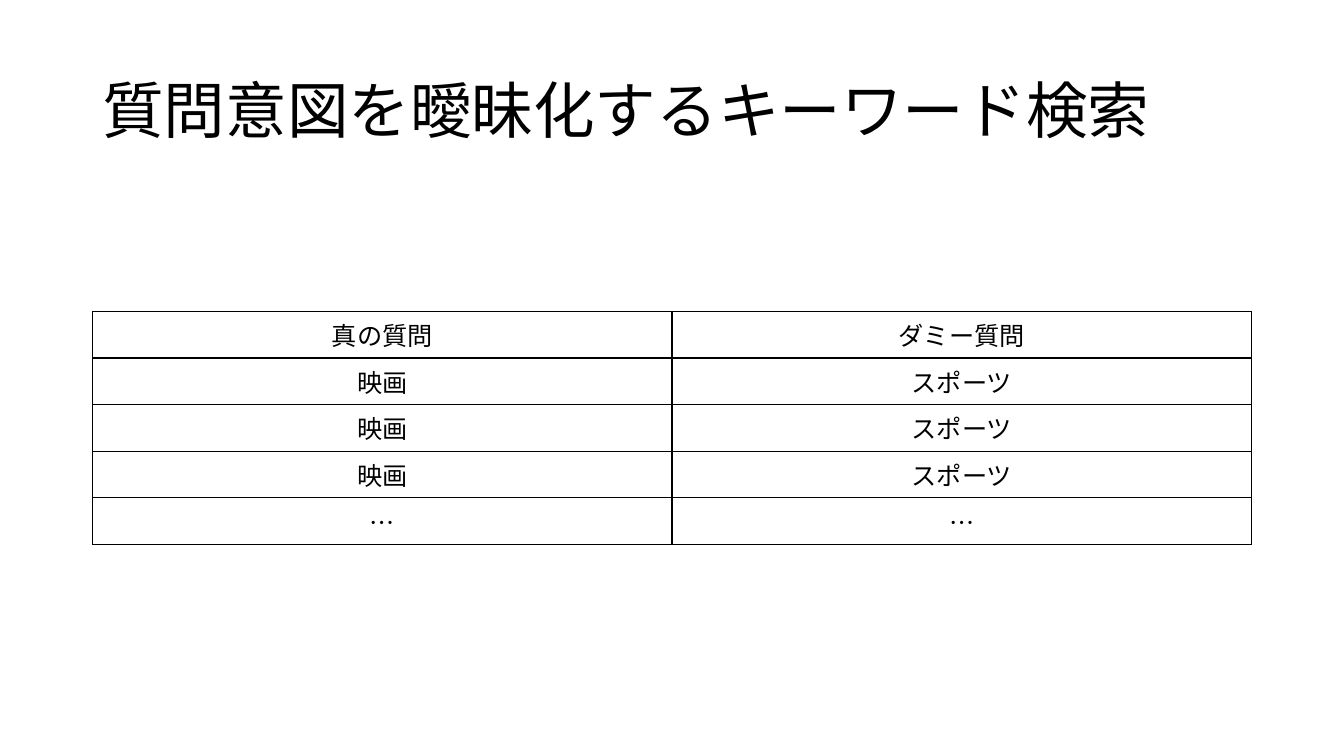
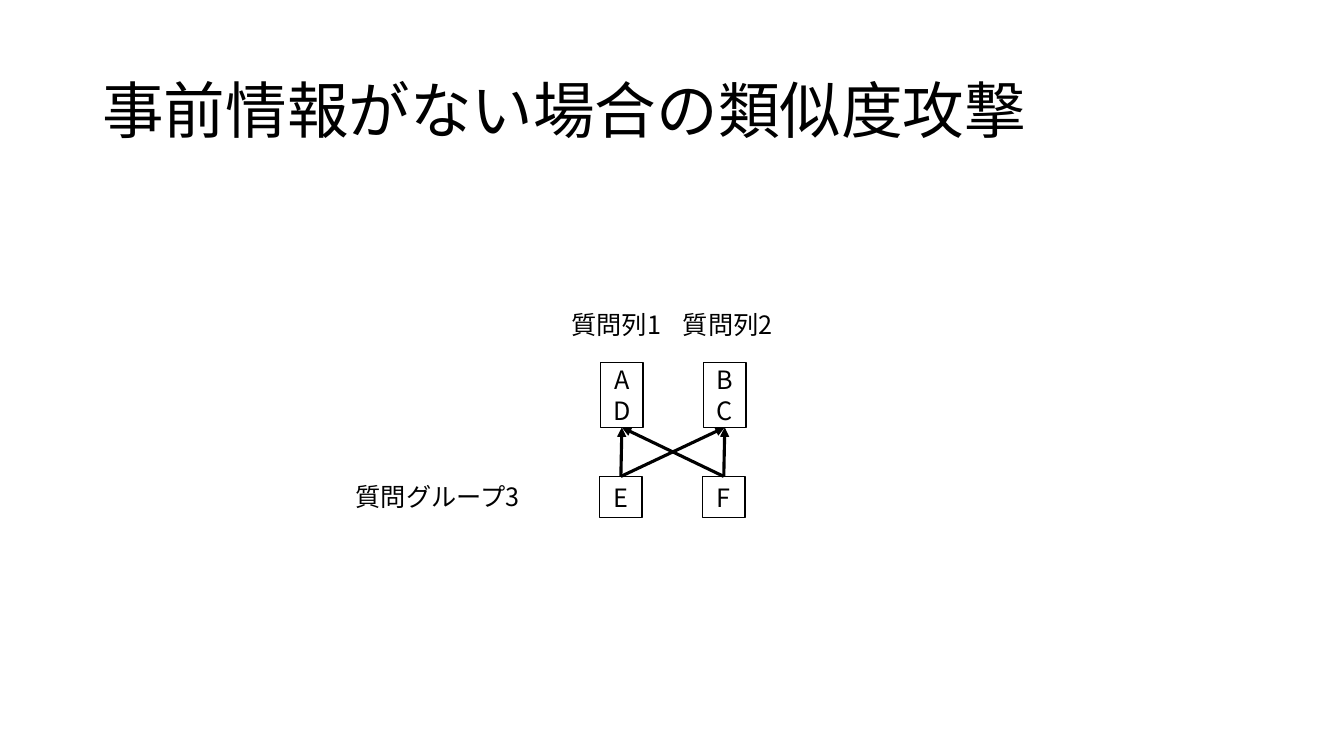
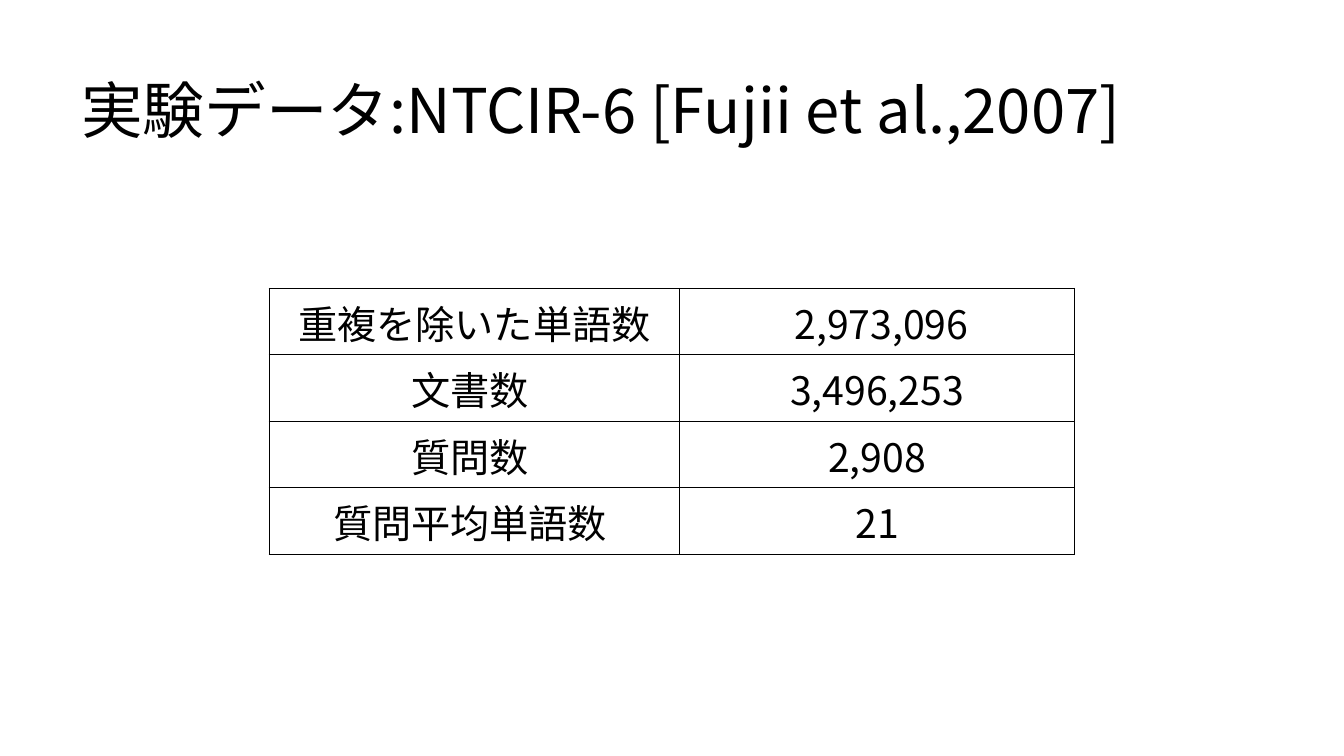
import itertools

import pptx
import pptx.dml.color
import pptx.enum.shapes
import pptx.enum.text
import pptx.oxml.ns
import pptx.util
from lxml import etree

Pt = pptx.util.Pt
ALIGN = pptx.enum.text.PP_ALIGN
ANCHOR = pptx.enum.text.MSO_ANCHOR


def color(value):
    return pptx.dml.color.RGBColor.from_string(value)


def add_xml(parent, tag, **attributes):
    return etree.SubElement(parent, pptx.oxml.ns.qn(tag), attributes)


class SlideBuilder:
    font = "Noto Sans CJK JP"
    ink = "000000"
    paper = "FFFFFF"
    title_size = 44
    body_size = 18

    def __init__(self, deck):
        self.deck = deck
        self.slide = None

    def start(self, title, left=66, width=828):
        self.slide = self.deck.slides.add_slide(self.deck.slide_layouts[6])
        box = self.text(title, left, 28.8, width, 104.4, self.title_size)
        box.text_frame.vertical_anchor = ANCHOR.MIDDLE
        box.text_frame.paragraphs[0].line_spacing = 0.9

    def fill_text(self, frame, text, size, align):
        frame.text = text
        for para in frame.paragraphs:
            para.alignment = align
            for span in para.runs:
                span.font.size = Pt(size)
                span.font.name = self.font
                span.font.color.rgb = color(self.ink)
                add_xml(span.font._element, "a:ea", typeface=self.font)

    def text(self, text, left, top, width, height, size=body_size):
        box = self.slide.shapes.add_textbox(Pt(left), Pt(top), Pt(width), Pt(height))
        box.text_frame.word_wrap = True
        self.fill_text(box.text_frame, text, size, ALIGN.LEFT)
        return box

    def box(self, text, left, top, width, height):
        box = self.slide.shapes.add_shape(
            pptx.enum.shapes.MSO_SHAPE.RECTANGLE, Pt(left), Pt(top), Pt(width), Pt(height))
        box.shadow.inherit = False
        box.fill.solid()
        box.fill.fore_color.rgb = color(self.paper)
        box.line.color.rgb = color(self.ink)
        box.line.width = Pt(1)
        box.text_frame.vertical_anchor = ANCHOR.MIDDLE
        self.fill_text(box.text_frame, text, self.body_size, ALIGN.CENTER)
        return box

    def arrow_up(self, lower, upper):
        arrow = self.slide.shapes.add_connector(
            pptx.enum.shapes.MSO_CONNECTOR.STRAIGHT, 0, 0, 0, 0)
        arrow.begin_connect(lower, 0)
        arrow.end_connect(upper, 2)
        arrow.line.color.rgb = color(self.ink)
        arrow.line.width = Pt(2.25)
        add_xml(arrow.line._get_or_add_ln(), "a:tailEnd", type="triangle")
        add_xml(arrow._element.spPr, "a:effectLst")

    def border(self, cell):
        properties = cell._tc.get_or_add_tcPr()
        for side in ("a:lnL", "a:lnR", "a:lnT", "a:lnB"):
            line = add_xml(properties, side, w=str(Pt(1)))
            add_xml(add_xml(line, "a:solidFill"), "a:srgbClr", val=self.ink)

    def table(self, rows, left, top, widths, row_height, size=body_size,
              anchor=ANCHOR.TOP, margin=None):
        table = self.slide.shapes.add_table(
            len(rows), len(widths), Pt(left), Pt(top),
            Pt(sum(widths)), Pt(row_height * len(rows))).table
        table.first_row = False
        table.horz_banding = False
        for column, width in zip(table.columns, widths):
            column.width = Pt(width)
        for row, texts in zip(table.rows, rows):
            row.height = Pt(row_height)
            for cell, text in zip(row.cells, texts):
                self.fill_text(cell.text_frame, text, size, ALIGN.CENTER)
                cell.vertical_anchor = anchor
                if margin is not None:
                    cell.margin_left = cell.margin_right = cell.margin_top = Pt(margin)
                    cell.margin_bottom = 0
                self.border(cell)
                cell.fill.solid()
                cell.fill.fore_color.rgb = color(self.paper)


def keyword_search(builder):
    builder.start("質問意図を曖昧化するキーワード検索")
    rows = [("真の質問", "ダミー質問")] + [("映画", "スポーツ")] * 3 + [("…", "…")]
    builder.table(rows, 66, 222.5, (414, 414), 33.3)


def similarity_attack(builder):
    builder.start("事前情報がない場合の類似度攻撃")
    pitch = 73.5
    lower = [builder.box(name, 428.4 + pitch * index, 340.3, 30.2, 29.5)
             for index, name in enumerate("EF")]
    builder.text("質問グループ3", 247, 340.3, 138.2, 29)
    upper = [builder.box(names, 429.1 + pitch * index, 259, 30.2, 46.3)
             for index, names in enumerate(("A\nD", "B\nC"))]
    for index in range(2):
        builder.text(f"質問列{index + 1}", 401.2 + 79.5 * index, 217.4, 79.2, 29)
    for start, end in itertools.product(lower, upper):
        builder.arrow_up(start, end)


def experiment_data(builder):
    builder.start("実験データ:NTCIR-6 [Fujii et al.,2007]", 51, 880.6)
    rows = [
        ("重複を除いた単語数", " 2,973,096"),
        ("文書数 ", "3,496,253"),
        ("質問数 ", "2,908"),
        ("質問平均単語数 ", "21"),
    ]
    builder.table(rows, 192.4, 206, (293, 282.2), 47.5, 28, ANCHOR.MIDDLE, 0.72)


def main():
    deck = pptx.Presentation()
    deck.slide_width = Pt(960)
    deck.slide_height = Pt(540)
    builder = SlideBuilder(deck)
    keyword_search(builder)
    similarity_attack(builder)
    experiment_data(builder)
    deck.save("out.pptx")


if __name__ == "__main__":
    main()
